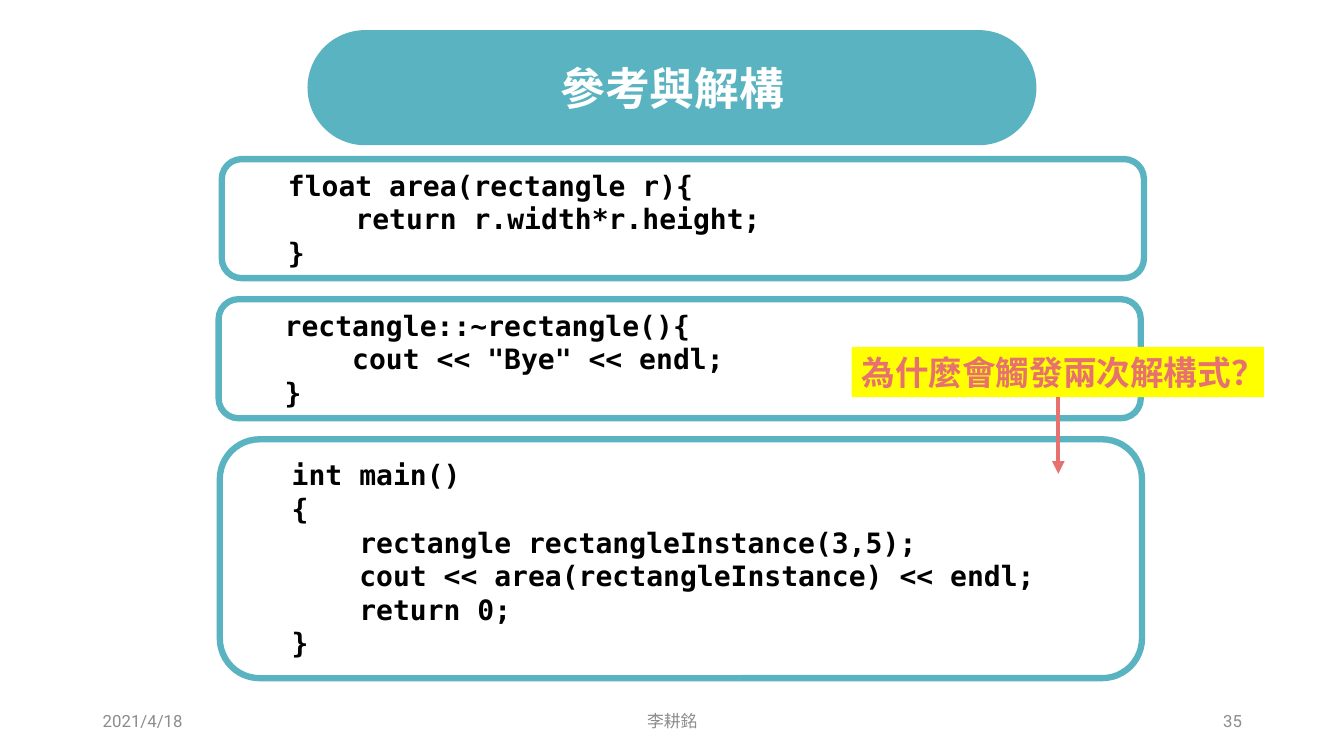
from dataclasses import dataclass

from lxml.etree import SubElement
from pptx import Presentation
from pptx.dml.color import RGBColor
from pptx.enum.shapes import MSO_CONNECTOR, MSO_SHAPE
from pptx.enum.text import MSO_ANCHOR, PP_ALIGN
from pptx.oxml.ns import qn
from pptx.util import Cm, Pt


@dataclass(frozen=True)
class Theme:
    """Colours, fonts and type sizes of the slide."""
    teal: RGBColor = RGBColor(0x59, 0xB3, 0xC0)
    white: RGBColor = RGBColor(0xFF, 0xFF, 0xFF)
    black: RGBColor = RGBColor(0, 0, 0)
    grey: RGBColor = RGBColor(0x8C, 0x8C, 0x8C)
    yellow: RGBColor = RGBColor(0xFF, 0xFF, 0)
    coral: RGBColor = RGBColor(0xE6, 0x71, 0x6E)
    title_font: str = "Calibri"
    code_font: str = "DejaVu Sans Mono"
    footer_font: str = "Roboto"
    chinese_font: str = "Noto Sans CJK TC"
    title_size: Pt = Pt(32)
    callout_size: Pt = Pt(24)
    code_size: Pt = Pt(20)
    footer_size: Pt = Pt(12)


THEME = Theme()

AREA_CODE = """float area(rectangle r){
    return r.width*r.height;
}"""
DESTRUCTOR_CODE = """rectangle::~rectangle(){
    cout << "Bye" << endl;
}"""
MAIN_CODE = """int main()
{
    rectangle rectangleInstance(3,5);
    cout << area(rectangleInstance) << endl;
    return 0;
}"""


def write_text(shape, text, font_name, size, color, bold=True, align=PP_ALIGN.LEFT, indent=0):
    """Fill a shape with vertically centred paragraphs in one style."""
    frame = shape.text_frame
    frame.text = text
    frame.word_wrap = True
    frame.vertical_anchor = MSO_ANCHOR.MIDDLE
    for paragraph in frame.paragraphs:
        paragraph.alignment = align
        properties = paragraph._p.get_or_add_pPr()
        properties.set("marL", str(indent))
        properties.set("indent", "0")
        font = paragraph.font
        font.name, font.size, font.bold = font_name, size, bold
        font.color.rgb = color
        east_asian = SubElement(properties.find(qn("a:defRPr")), qn("a:ea"))
        east_asian.set("typeface", THEME.chinese_font)


def add_panel(slide, kind, left, top, width, height, fill, line=None):
    """Add a filled shape with an optional thick outline."""
    shape = slide.shapes.add_shape(kind, Cm(left), Cm(top), Cm(width), Cm(height))
    shape.shadow.inherit = False
    shape.fill.solid()
    shape.fill.fore_color.rgb = fill
    if line is None:
        shape.line.fill.background()
    else:
        shape.line.color.rgb = line
        shape.line.width = Pt(4.5)
    return shape


def add_title(slide, text):
    """Place the title placeholder over a pill-shaped banner."""
    pill = add_panel(slide, MSO_SHAPE.ROUNDED_RECTANGLE, 7.75, 0.76, 18.37, 2.9, THEME.teal)
    pill.adjustments[0] = 0.5
    title = slide.shapes.title
    title.left, title.top, title.width, title.height = Cm(2.34), Cm(0.76), Cm(29.21), Cm(2.9)
    write_text(title, text, THEME.title_font, THEME.title_size, THEME.white, align=PP_ALIGN.CENTER)
    pill.element.addnext(title.element)


def add_code(slide, code, left, top, height):
    """Add an outlined rounded box of code."""
    box = add_panel(slide, MSO_SHAPE.ROUNDED_RECTANGLE, left, top, 23.24, height,
                    THEME.white, THEME.teal)
    write_text(box, code, THEME.code_font, THEME.code_size, THEME.black, indent=Cm(1.27))


def add_callout(slide, text):
    """Add the highlighted question."""
    callout = add_panel(slide, MSO_SHAPE.RECTANGLE, 21.46, 8.74, 10.39, 1.27, THEME.yellow)
    write_text(callout, text, THEME.chinese_font, THEME.callout_size, THEME.coral)
    callout.text_frame.margin_right = 0
    callout.text_frame.word_wrap = False


def add_down_arrow(slide, x, top, bottom):
    """Add a vertical arrow pointing down."""
    arrow = slide.shapes.add_connector(MSO_CONNECTOR.STRAIGHT, Cm(x), Cm(top), Cm(x), Cm(bottom))
    arrow.line.color.rgb = THEME.coral
    arrow.line.width = Pt(3)
    SubElement(arrow.line._get_or_add_ln(), qn("a:tailEnd")).set("type", "triangle")
    SubElement(arrow.element.spPr, qn("a:effectLst"))


def add_footer(slide, text, left, width, align):
    """Add one entry of the footer row."""
    box = slide.shapes.add_textbox(Cm(left), Cm(17.65), Cm(width), Cm(1.02))
    write_text(box, text, THEME.footer_font, THEME.footer_size, THEME.grey, False, align)


def main():
    """Build and save the slide."""
    presentation = Presentation()
    presentation.slide_width, presentation.slide_height = Cm(33.87), Cm(19.05)
    slide = presentation.slides.add_slide(presentation.slide_layouts[5])
    add_title(slide, "參考與解構")
    add_footer(slide, "2021/4/18", 2.34, 7.62, PP_ALIGN.LEFT)
    add_footer(slide, "李耕銘", 11.23, 11.43, PP_ALIGN.CENTER)
    add_footer(slide, "35", 23.93, 7.62, PP_ALIGN.RIGHT)
    add_code(slide, AREA_CODE, 5.59, 4.01, 3)
    add_code(slide, DESTRUCTOR_CODE, 5.51, 7.54, 3)
    add_code(slide, MAIN_CODE, 5.54, 11.07, 6.02)
    add_callout(slide, "為什麼會觸發兩次解構式？")
    add_down_arrow(slide, 26.67, 10.01, 11.94)
    presentation.save("out.pptx")


if __name__ == "__main__":
    main()
